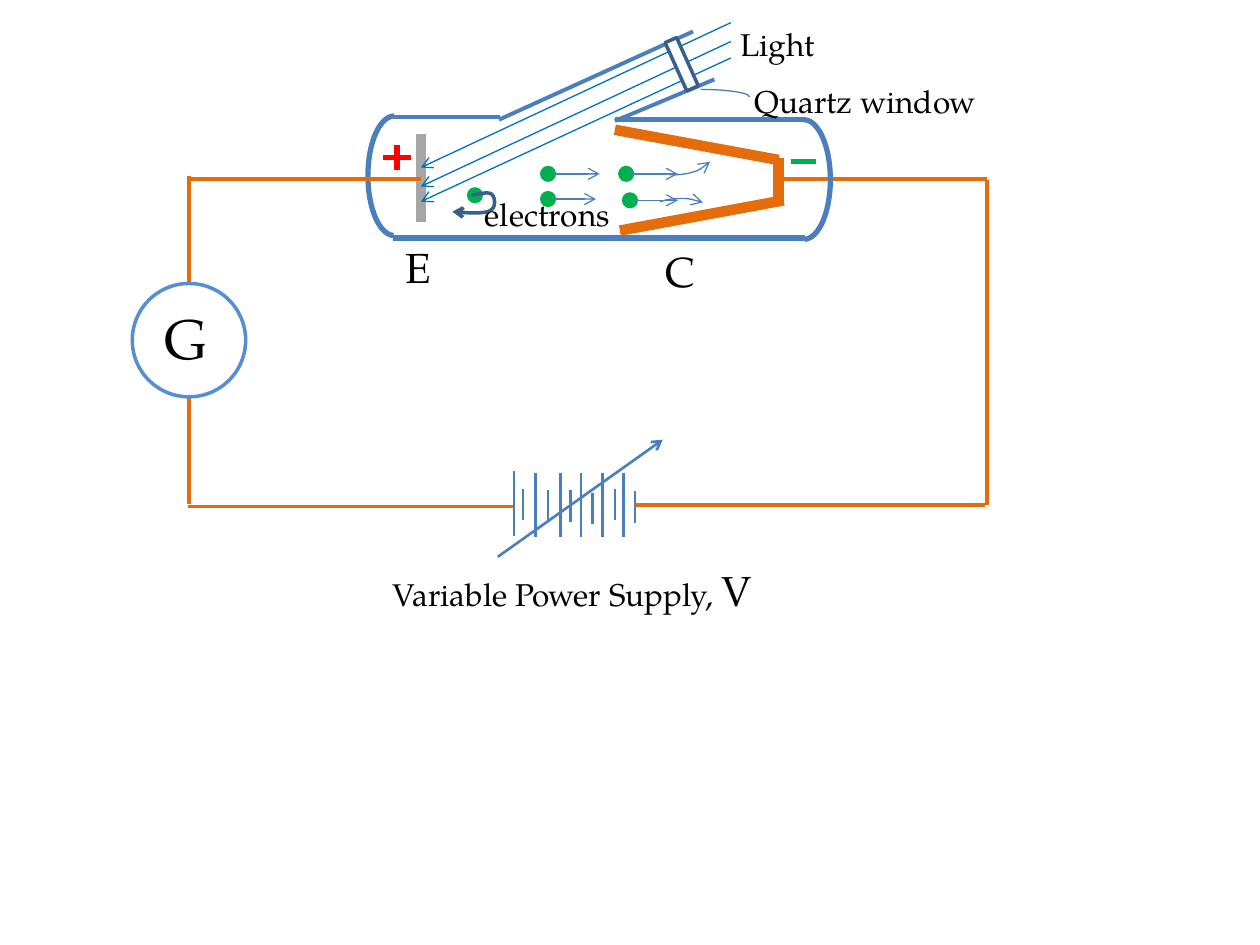
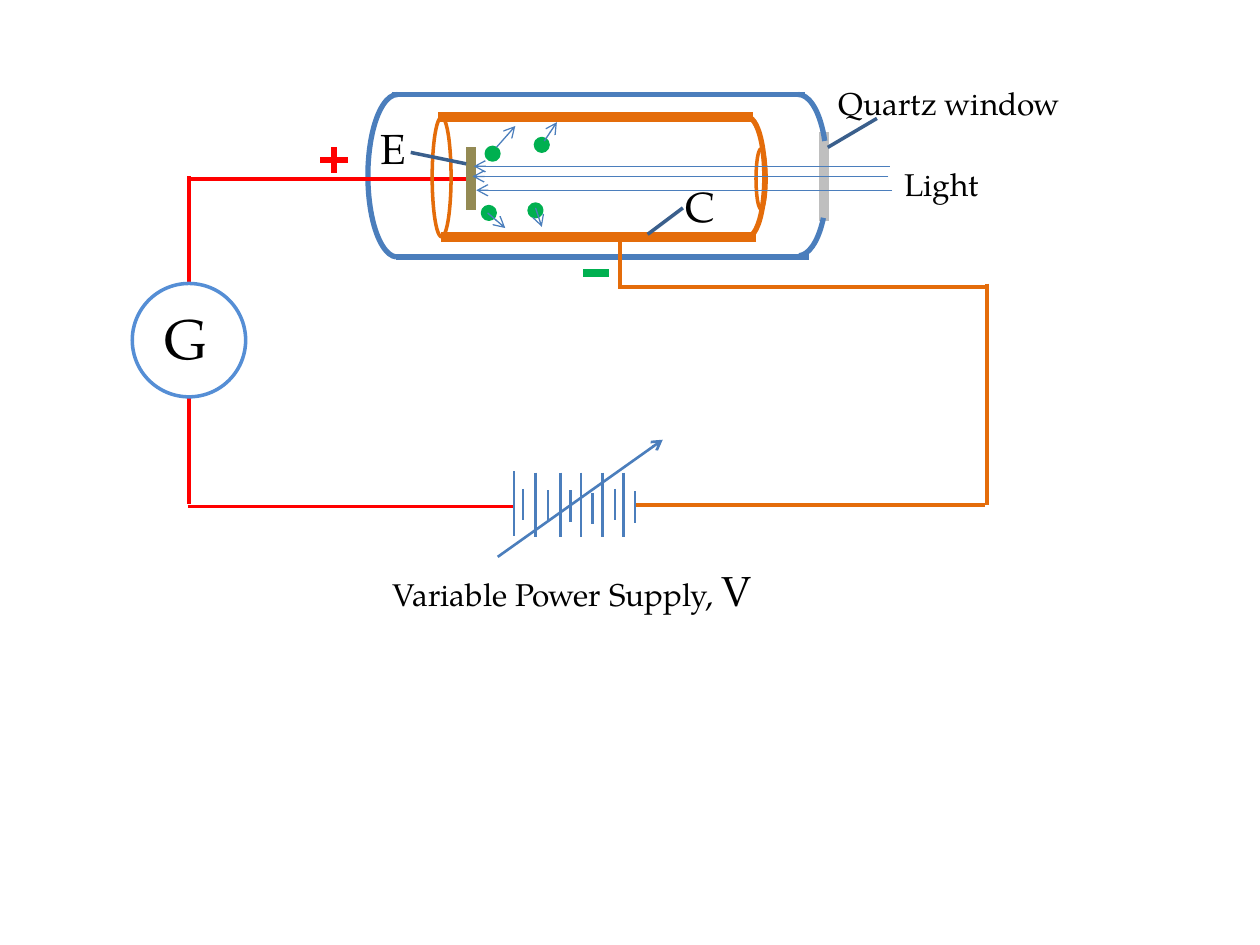
"""Build two circuit diagrams of the photoelectric effect experiment."""
import pptx
import pptx.dml.color
import pptx.enum.shapes
import pptx.enum.text
import pptx.oxml
import pptx.oxml.ns
import pptx.util

Inches = pptx.util.Inches
MSO_SHAPE = pptx.enum.shapes.MSO_SHAPE

COLORS = {
    "glass": "4B7EBC",
    "navy": "3A5F8C",
    "meter": "558ED5",
    "light": "0070C0",
    "orange": "E46C0A",
    "red": "FF0000",
    "green": "00B050",
    "gray": "A6A6A6",
    "silver": "BFBFBF",
    "olive": "948A54",
    "white": "FFFFFF",
    "black": "000000",
}
FONT = "TeX Gyre Pagella"
LONG_PLATES = [(4.08, 3.74), (4.25, 3.75), (4.45, 3.75), (4.61, 3.75), (4.78, 3.75), (4.95, 3.75)]
SHORT_PLATES = [(4.15, 3.88), (4.35, 3.89), (4.53, 3.89), (4.7, 3.91), (4.88, 3.88), (5.04, 3.9)]
HALF_TURN = (162, 53.46)


class Diagram:
    def __init__(self):
        self.prs = pptx.Presentation()
        self.prs.slide_width = Inches(10)
        self.prs.slide_height = Inches(7.5)
        self.s = None

    def new_slide(self):
        self.s = self.prs.slides.add_slide(self.prs.slide_layouts[6])

    def rgb(self, name):
        return pptx.dml.color.RGBColor.from_string(COLORS[name])

    def stroke(self, sp, color, width, arrow=False):
        sp.line.color.rgb = self.rgb(color)
        sp.line.width = pptx.util.Pt(width)
        if arrow:
            ln = sp._element.spPr.find(pptx.oxml.ns.qn("a:ln"))
            ln.append(pptx.oxml.parse_xml(
                f'<a:tailEnd {pptx.oxml.ns.nsdecls("a")} type="arrow"/>'))

    def line(self, start, end, color="glass", width=0.75, arrow=False, shapes=None):
        shapes = self.s.shapes if shapes is None else shapes
        points = [Inches(v) for v in (*start, *end)]
        sp = shapes.add_connector(pptx.enum.shapes.MSO_CONNECTOR.STRAIGHT, *points)
        self.stroke(sp, color, width, arrow)
        sp._element.spPr.append(
            pptx.oxml.parse_xml(f'<a:effectLst {pptx.oxml.ns.nsdecls("a")}/>'))

    def shape(self, kind, box, color, width, fill=None, arrow=False, rotation=0):
        sp = self.s.shapes.add_shape(kind, *[Inches(v) for v in box])
        sp.shadow.inherit = False
        sp.rotation = rotation
        if fill:
            sp.fill.solid()
            sp.fill.fore_color.rgb = self.rgb(fill)
        else:
            sp.fill.background()
        self.stroke(sp, color, width, arrow)
        return sp

    def arc(self, box, angles, color="glass", width=3, flip=None, arrow=False, rotation=0):
        sp = self.shape(MSO_SHAPE.ARC, box, color, width, arrow=arrow, rotation=rotation)
        sp.adjustments[0], sp.adjustments[1] = angles
        if flip:
            sp._element.spPr.xfrm.set(flip, "1")

    def curve(self, start, beziers, color, width, steps=12):
        points, p0 = [], start
        for p1, p2, p3 in beziers:
            for i in range(1, steps + 1):
                t = i / steps
                u = 1 - t
                points.append(tuple(
                    Inches(u**3 * a + 3 * u * u * t * b + 3 * u * t * t * c + t**3 * d)
                    for a, b, c, d in zip(p0, p1, p2, p3)))
            p0 = p3
        builder = self.s.shapes.build_freeform(Inches(start[0]), Inches(start[1]))
        builder.add_line_segments(points, close=False)
        sp = builder.convert_to_shape()
        sp.shadow.inherit = False
        sp.fill.background()
        self.stroke(sp, color, width, arrow=True)

    def electron(self, x, y):
        self.shape(MSO_SHAPE.OVAL, (x, y, 0.1, 0.1), "green", 2, fill="green")

    def plus(self, x, y):
        group = self.s.shapes.add_group_shape()
        self.line((x, y - 0.1), (x, y + 0.1), "red", 3, shapes=group.shapes)
        self.line((x - 0.11, y), (x + 0.11, y), "red", 3, shapes=group.shapes)

    def text(self, box, *parts):
        tf = self.s.shapes.add_textbox(*[Inches(v) for v in box]).text_frame
        tf.word_wrap = False
        tf.auto_size = pptx.enum.text.MSO_AUTO_SIZE.SHAPE_TO_FIT_TEXT
        p = tf.paragraphs[0]
        for words, size in parts:
            r = p.add_run()
            r.text = words
            r.font.size = pptx.util.Pt(size)
            r.font.name = FONT
            r.font.color.rgb = self.rgb("black")

    def circuit(self, left_color, emitter_x, right_top):
        self.line((emitter_x, 1.42), (1.5, 1.42), left_color, 2.25)
        self.line((1.5, 1.4), (1.5, 2.25), left_color, 2.25)
        self.line((1.5, 3.15), (1.5, 4), left_color, 2.25)
        self.line((1.49, 4.02), (4.09, 4.02), left_color, 2.25)
        self.line((7.83, right_top), (7.83, 4.01), "orange", 2.25)
        self.line((5.04, 4.01), (7.82, 4.01), "orange", 2.25)
        self.shape(MSO_SHAPE.OVAL, (1.05, 2.25, 0.9, 0.9), "meter", 2)
        self.text((1.21, 2.36, 0.54, 0.64), ("G", 32))
        for plates, height in ((LONG_PLATES, 0.51), (SHORT_PLATES, 0.25)):
            for x, top in plates:
                self.line((x, top), (x, top + height), width=1.5)
        self.line((3.95, 4.42), (5.26, 3.49), width=1.5, arrow=True)
        self.text((3.02, 4.43, 3.17, 0.5), ("Variable Power Supply, ", 18), ("V", 24))

    def labels(self, emitter, collector, window, light):
        self.text((*emitter, 0.41, 0.5), ("E", 24))
        self.text((*collector, 0.44, 0.5), ("C", 24))
        self.text((*window, 1.98, 0.4), ("Quartz window", 18))
        self.text((*light, 0.8, 0.4), ("Light", 18))


def side_window_tube(d):
    d.new_slide()
    d.arc((2.92, 0.92, 0.42, 0.95), HALF_TURN, flip="flipH")
    d.line((4.88, 0.95), (6.38, 0.95), width=3)
    d.line((3.12, 1.89), (6.39, 1.89), width=3)
    d.line((3.13, 0.93), (3.97, 0.93), width=2.25)
    d.line((3.96, 0.95), (5.5, 0.25), width=2.25)
    d.line((4.88, 0.96), (5.67, 0.63), width=2.25)
    d.line((5.38, 0.3), (5.54, 0.7))
    d.line((3.34, 1.06), (3.34, 1.76), "gray", 6)
    d.line((6.18, 1.25), (6.18, 1.63), "orange", 6)
    for top, bottom in ((0.18, 1.33), (0.33, 1.48), (0.46, 1.6)):
        d.line((5.8, top), (3.34, bottom), "light", arrow=True)

    for x, y, tip in ((4.3, 1.33, 4.76), (4.3, 1.53, 4.73), (4.92, 1.33, 5.38), (4.95, 1.54, 5.38)):
        d.electron(x, y)
        d.line((x + 0.1, y + 0.05), (tip, y + 0.05), arrow=True)
    d.electron(3.72, 1.5)
    d.curve((3.74, 1.55), [((3.8, 1.54), (3.87, 1.52), (3.9, 1.54)),
                           ((3.93, 1.56), (3.94, 1.65), (3.89, 1.67)),
                           ((3.84, 1.7), (3.72, 1.69), (3.59, 1.68))], "navy", 2)

    d.circuit("orange", 3.34, 1.43)
    d.line((6.18, 1.42), (7.83, 1.42), "orange", 2.25)
    d.plus(3.15, 1.25)
    d.line((6.28, 1.28), (6.48, 1.28), "green", 3)
    d.arc((6.17, 0.95, 0.42, 0.95), HALF_TURN)
    d.line((6.18, 1.27), (4.88, 1.03), "orange", 6)
    d.line((6.22, 1.59), (4.92, 1.83), "orange", 6)
    d.arc((5.06, 0.75, 0.52, 0.75), (2.32, 42.22), width=0.75, flip="flipV", arrow=True, rotation=97.1)
    d.arc((5.14, 1.46, 0.52, 0.75), (195.1, 22.81), width=0.75, arrow=True, rotation=270)
    d.shape(MSO_SHAPE.RECTANGLE, (5.2, 0.46, 0.42, 0.1), "navy", 2, fill="white", rotation=65.8)
    d.arc((5.17, 0.71, 0.78, 0.12), (162, 0), width=0.75)
    d.labels((3.12, 1.87), (5.18, 1.9), (5.89, 0.6), (5.78, 0.15))
    d.text((3.75, 1.5, 1.2, 0.4), ("electrons", 18))


def end_window_tube(d):
    d.new_slide()
    d.arc((2.92, 0.75, 0.47, 1.29), HALF_TURN, flip="flipH")
    d.line((3.11, 0.75), (6.39, 0.75), width=3)
    d.line((3.14, 2.04), (6.42, 2.04), width=3)
    d.line((3.74, 1.17), (3.74, 1.67), "olive", 6)
    d.line((6.54, 1.05), (6.54, 1.75), "silver", 6)
    d.arc((6.11, 0.75, 0.45, 1.13), (162, 190.27))
    d.arc((6.11, 0.93, 0.45, 1.1), (30.71, 53.46))

    for electron, start, tip in (
        ((3.86, 1.17), (3.94, 1.17), (4.09, 1)),
        ((4.25, 1.1), (4.32, 1.12), (4.42, 0.97)),
        ((3.83, 1.64), (3.87, 1.69), (4.01, 1.81)),
        ((4.2, 1.62), (4.25, 1.65), (4.3, 1.8)),
    ):
        d.electron(*electron)
        d.line(start, tip, arrow=True)

    d.circuit("red", 3.7, 2.25)
    d.line((4.92, 2.28), (7.82, 2.28), "orange", 2.25)
    d.line((4.92, 1.88), (4.92, 2.29), "orange", 2.25)
    d.plus(2.65, 1.27)
    d.line((4.63, 2.17), (4.83, 2.17), "green", 4.5)
    d.line((5.98, 0.93), (3.48, 0.93), "orange", 6)
    d.line((6, 1.88), (3.5, 1.88), "orange", 6)
    d.shape(MSO_SHAPE.OVAL, (3.43, 0.93, 0.15, 0.95), "orange", 2)
    d.arc((5.8, 0.93, 0.27, 0.95), (162, 54.28), "orange")
    d.shape(MSO_SHAPE.OVAL, (6, 1.18, 0.08, 0.48), "orange", 2)
    for x, y in ((3.76, 1.32), (3.75, 1.4), (3.78, 1.51)):
        d.line((x + 3.3, y), (x, y), arrow=True)
    d.labels((2.92, 0.92), (5.34, 1.38), (6.56, 0.62), (7.08, 1.26))
    for start, end in (((6.57, 1.17), (6.96, 0.94)), ((3.7, 1.3), (3.26, 1.21)), ((5.42, 1.65), (5.14, 1.86))):
        d.line(start, end, "navy", 2)


def main():
    d = Diagram()
    side_window_tube(d)
    end_window_tube(d)
    d.prs.save("out.pptx")


if __name__ == "__main__":
    main()
